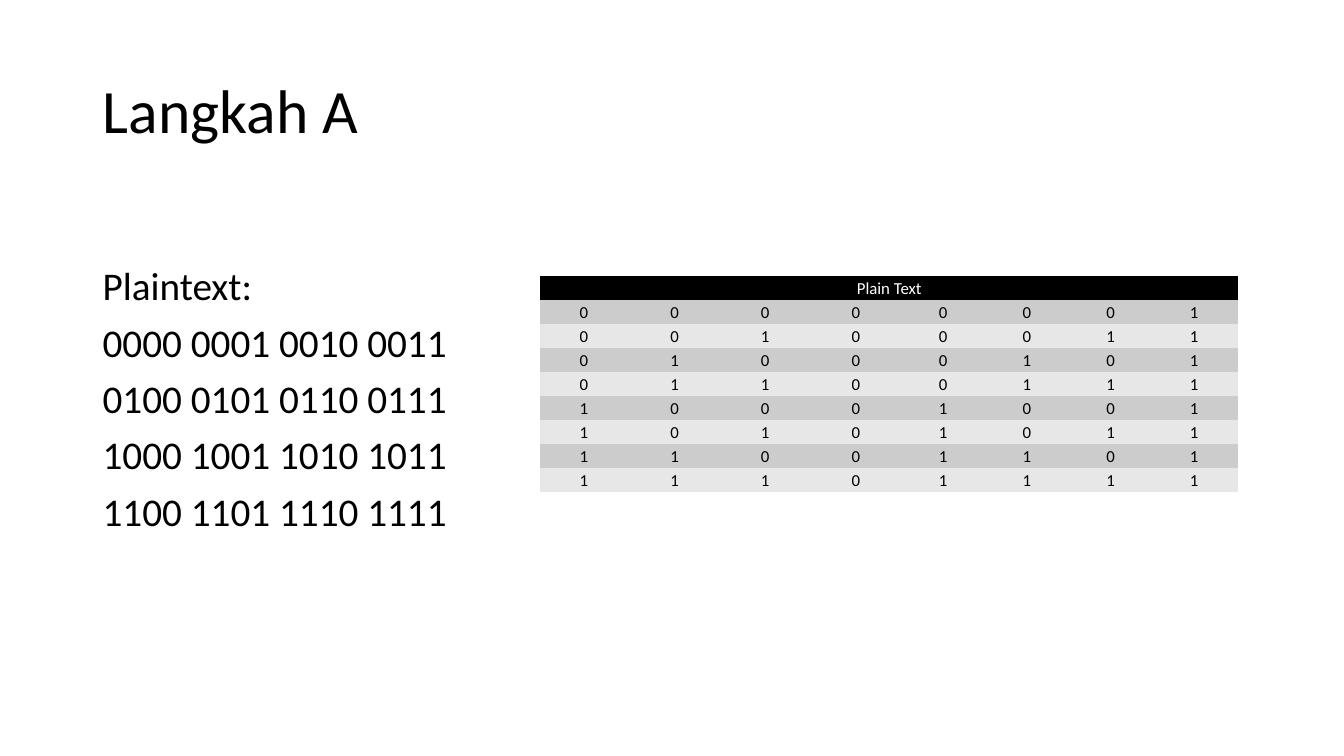
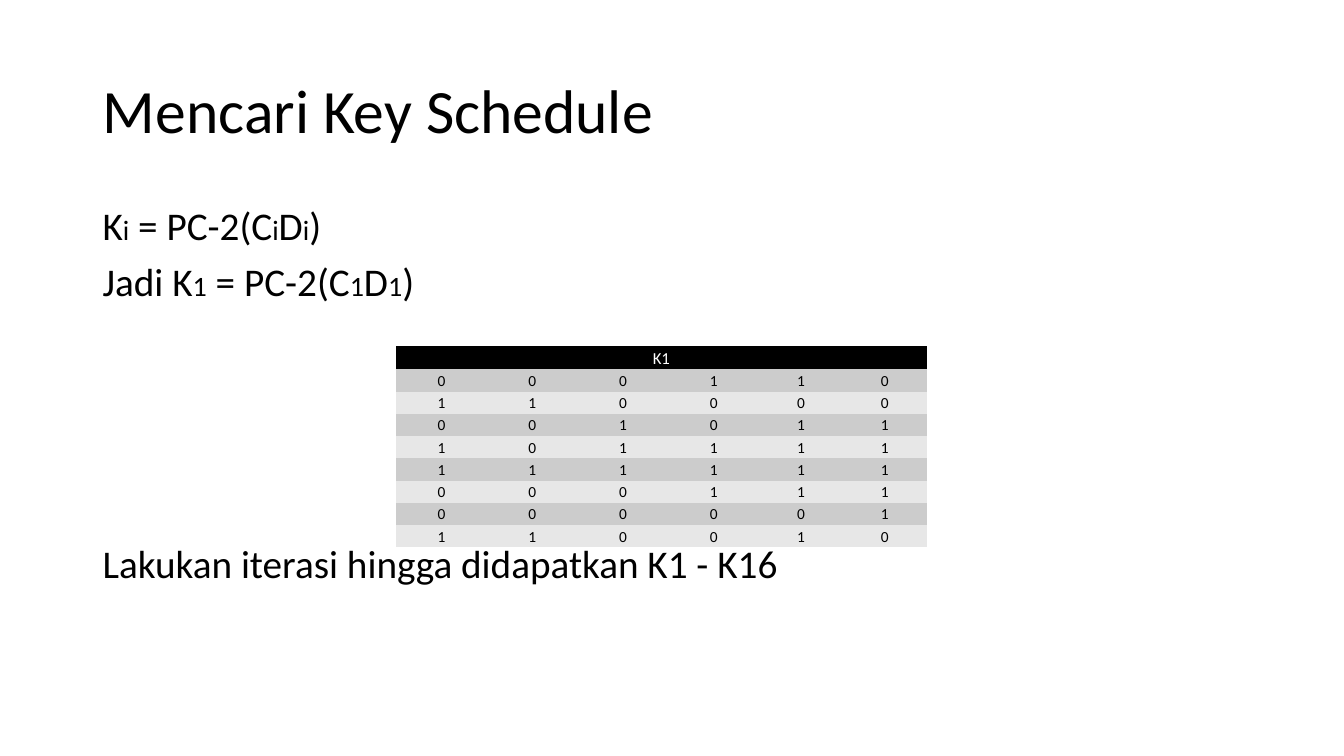
from pptx import Presentation
from pptx import util as u
from pptx.dml.color import RGBColor
from pptx.enum import text as t
from pptx.oxml import ns

FONT = "Calibri"
HUES = {"ink": "000000", "paper": "FFFFFF", "dark": "CCCCCC", "light": "E7E7E7"}
PLAIN = "{2D5ABB26-0587-4C30-8999-92F81FD0307C}"  # table style: no style, no grid
LEFT, WIDE = 0.92, 11.5
BIG, SMALL = 28, 20

BITS = ["00000001", "00100011", "01000101", "01100111",
        "10001001", "10101011", "11001101", "11101111"]
KEY = ["000110", "110000", "001011", "101111",
       "111111", "000111", "000001", "110010"]


def hue(name):
    return RGBColor.from_string(HUES[name])


def add_run(para, words, size, ink="ink"):
    run = para.add_run()
    run.text = words
    run.font.name = FONT
    run.font.size = u.Pt(size)
    run.font.color.rgb = hue(ink)


def add_page(deck, title):
    """Title-only slide with the shared title style."""
    page = deck.slides.add_slide(deck.slide_layouts[5])
    head = page.shapes.title
    head.left, head.top = u.Inches(LEFT), u.Inches(0.4)
    head.width, head.height = u.Inches(WIDE), u.Inches(1.45)
    frame = head.text_frame
    frame.vertical_anchor = t.MSO_ANCHOR.MIDDLE
    frame.auto_size = t.MSO_AUTO_SIZE.NONE
    para = frame.paragraphs[0]
    para.alignment = t.PP_ALIGN.LEFT
    para.line_spacing = 0.9
    add_run(para, title, 44)
    return page


def add_body(page, top, width, lines):
    """Each line is a list of runs; every second run is a small index."""
    box = page.shapes.add_textbox(u.Inches(LEFT), u.Inches(top),
                                  u.Inches(width), u.Inches(0.56 * len(lines)))
    frame = box.text_frame
    frame.word_wrap = True
    for row, runs in enumerate(lines):
        para = frame.add_paragraph() if row else frame.paragraphs[0]
        para.line_spacing = 0.9
        para.space_before = u.Pt(10 if row else 0)
        for pos, words in enumerate(runs):
            add_run(para, words, SMALL if pos % 2 else BIG)


def fill_cell(cell, words, size, ink, back, right):
    cell.fill.solid()
    cell.fill.fore_color.rgb = hue(back)
    cell.vertical_anchor = t.MSO_ANCHOR.MIDDLE
    cell.margin_left = cell.margin_top = cell.margin_bottom = u.Inches(0.01)
    cell.margin_right = u.Inches(right)
    para = cell.text_frame.paragraphs[0]
    para.alignment = t.PP_ALIGN.CENTER
    para.line_spacing = 1.07
    add_run(para, words, size, ink)


def add_grid(page, left, top, height, head, rows, size, right=0.01):
    """Banded bit table under one merged heading."""
    count = len(rows[0])
    wides = [0.9 if col < 4 else 0.83 for col in range(count)]
    frame = page.shapes.add_table(len(rows) + 1, count, u.Inches(left), u.Inches(top),
                                  u.Inches(sum(wides)), u.Inches(height))
    grid = frame.table
    grid._tbl.tblPr.find(ns.qn("a:tableStyleId")).text = PLAIN
    for col, wide in zip(grid.columns, wides):
        col.width = u.Inches(wide)
    grid.cell(0, 0).merge(grid.cell(0, count - 1))
    fill_cell(grid.cell(0, 0), head, 12, "paper", "ink", 0.01)
    for row, bits in enumerate(rows, 1):
        back = "dark" if row % 2 else "light"
        for col, bit in enumerate(bits):
            fill_cell(grid.cell(row, col), bit, size, "ink", back, right)


def main():
    deck = Presentation()
    deck.slide_width, deck.slide_height = u.Inches(13.33), u.Inches(7.5)

    # Plaintext and its bits
    page = add_page(deck, "Langkah A")
    add_body(page, 2.6, 4.3, [["Plaintext:"],
                              ["0000 0001 0010 0011"],
                              ["0100 0101 0110 0111"],
                              ["1000 1001 1010 1011"],
                              ["1100 1101 1110 1111"]])
    add_grid(page, 5.36, 2.74, 2.14, "Plain Text", BITS, 12, right=0.05)

    # Key schedule
    page = add_page(deck, "Mencari Key Schedule")
    add_body(page, 2, WIDE, [[lead, num, " = PC-2(C", num, "D", num, ")"]
                             for lead, num in (("K", "i"), ("Jadi K", "1"))])
    add_body(page, 5.35, WIDE, [["Lakukan iterasi hingga didapatkan K1 - K16"]])
    add_grid(page, 3.93, 3.43, 1.99, "K1", KEY, 11)

    deck.save("out.pptx")


if __name__ == "__main__":
    main()
